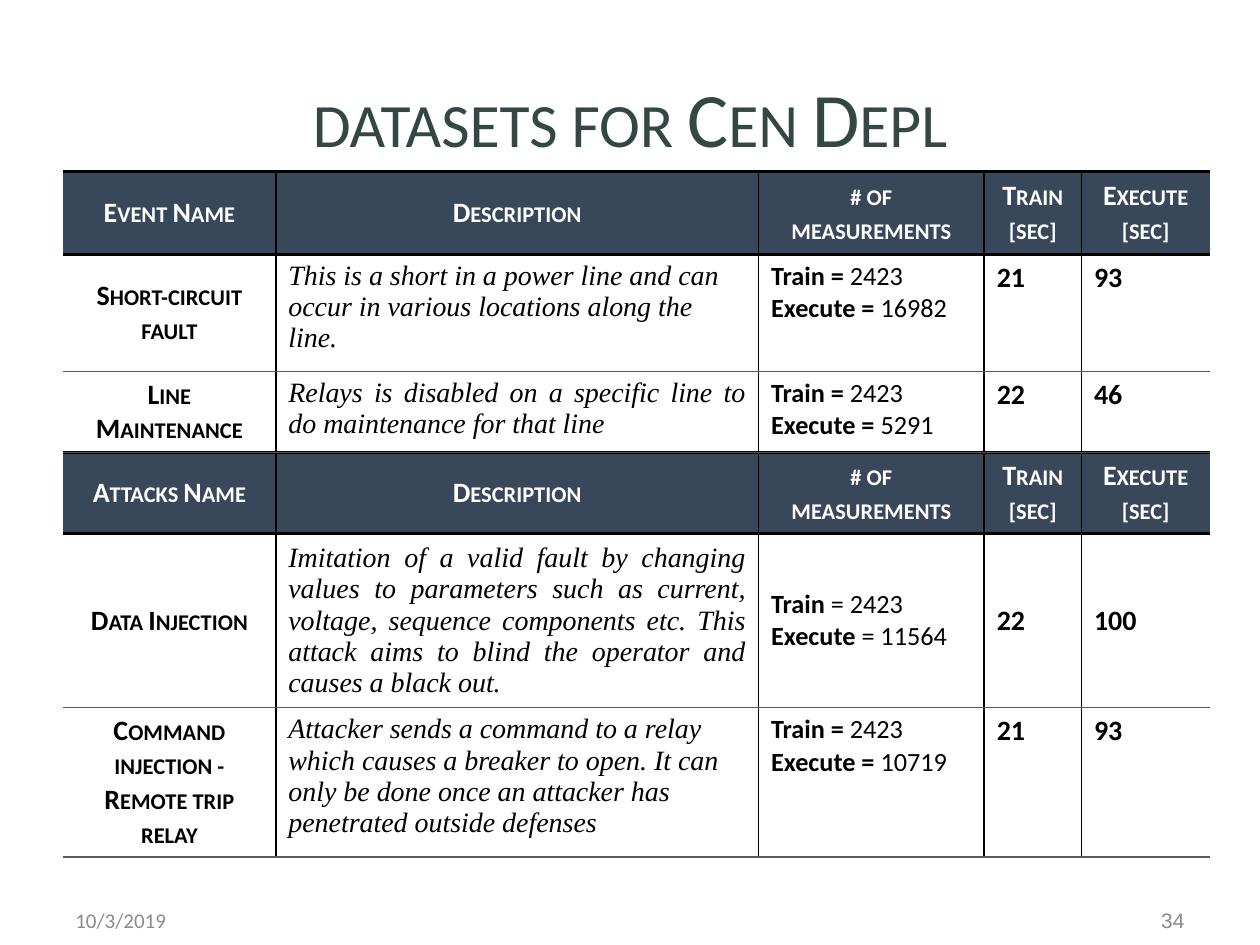
from lxml import etree
from pptx import Presentation
from pptx import util as u
from pptx.dml import color
from pptx.enum import text
from pptx.oxml import ns

COLORS = {"title": "334744", "header": "38485A", "white": "FFFFFF",
          "black": "000000", "row_line": "595959", "footer": "8C8C8C"}
LEFT, CENTER, RIGHT, JUSTIFY = (text.PP_ALIGN.LEFT, text.PP_ALIGN.CENTER,
                                text.PP_ALIGN.RIGHT, text.PP_ALIGN.JUSTIFY)
TOP, MIDDLE = text.MSO_ANCHOR.TOP, text.MSO_ANCHOR.MIDDLE


def write(frame, lines, size, ink="black", font="Calibri", align=LEFT,
          bold=False, italic=False, small_caps=False):
    """Fill a text frame; each line is a (bold label, plain rest) pair or a string."""
    frame.word_wrap = True
    for number, line in enumerate(lines):
        paragraph = frame.add_paragraph() if number else frame.paragraphs[0]
        paragraph.alignment = align
        parts = [(line, bold)] if isinstance(line, str) else zip(line, (True, False))
        for words, strong in parts:
            run = paragraph.add_run()
            run.text = words
            run.font.name, run.font.size = font, u.Pt(size)
            run.font.bold, run.font.italic = strong, italic
            run.font.color.rgb = color.RGBColor.from_string(COLORS[ink])
            if small_caps:
                run.font._element.set("cap", "small")


def set_borders(cell, borders):
    """Draw the (colour, points) borders for L, R, T, B; None leaves a side open."""
    properties = cell._tc.get_or_add_tcPr()
    for place, (side, border) in enumerate(zip("LRTB", borders)):
        line = etree.Element(ns.qn(f"a:ln{side}"))
        if border:
            line.set("w", str(u.Pt(border[1])))
            fill = etree.SubElement(line, ns.qn("a:solidFill"))
            etree.SubElement(fill, ns.qn("a:srgbClr"), val=COLORS[border[0]])
        else:
            etree.SubElement(line, ns.qn("a:noFill"))
        properties.insert(place, line)


prs = Presentation()
prs.slide_width, prs.slide_height = u.Cm(25.4), u.Cm(19.05)
slide = prs.slides.add_slide(prs.slide_layouts[6])

# Each row: name, description, its alignment, "=" bold, execute count,
# train and execute seconds, anchors of description and of figures
attacks = [
    ("Data Injection",
     "Imitation of a valid fault by changing values to parameters such as current, "
     "voltage, sequence components etc. This attack aims to blind the operator and "
     "causes a black out.", JUSTIFY, False, "11564", "22", "100", MIDDLE),
    ("Command injection - Remote trip relay",
     "Attacker sends a command to a relay which causes a breaker to open. It can only "
     "be done once an attacker has penetrated outside defenses",
     LEFT, True, "10719", "21", "93", TOP),
]
events = [
    ("Short-circuit fault",
     "This is a short in a power line and can occur in various locations along the line.",
     LEFT, True, "16982", "21", "93", TOP),
    ("Line Maintenance",
     "Relays is disabled on a specific line to do maintenance for that line",
     JUSTIFY, True, "5291", "22", "46", TOP),
]
column_widths = [4.29, 9.73, 4.55, 1.96, 2.59]
last_column = len(column_widths) - 1
thin, thick, row_line = ("black", 1), ("black", 2), ("row_line", 1)

for first_heading, top, row_heights, records in (
        ("Attacks Name", 9.12, [1.63, 3.51, 3.0], attacks),
        ("Event Name", 3.45, [1.68, 2.36, 1.6], events)):
    table = slide.shapes.add_table(
        len(row_heights), len(column_widths), u.Cm(1.27), u.Cm(top),
        u.Cm(sum(column_widths)), u.Cm(sum(row_heights))).table
    table.first_row = table.horz_banding = False
    for column, width in zip(table.columns, column_widths):
        column.width = u.Cm(width)
    for row, height in zip(table.rows, row_heights):
        row.height = u.Cm(height)

    headings = [first_heading, "Description", "# of measurements",
                "Train [sec]", "Execute [sec]"]
    for cell, heading in zip(table.rows[0].cells, headings):
        cell.fill.solid()
        cell.fill.fore_color.rgb = color.RGBColor.from_string(COLORS["header"])
        cell.vertical_anchor = MIDDLE
        write(cell.text_frame, [heading], 16, "white", align=CENTER,
              bold=True, small_caps=True)

    for row_number, record in enumerate(records, 1):
        name, description, align, bold_sign, count, train, execute, anchor = record
        cells = table.rows[row_number].cells
        for column_number, cell in enumerate(cells):
            cell.fill.background()
            cell.vertical_anchor = anchor if column_number else MIDDLE
        write(cells[0].text_frame, [name], 16, align=CENTER, bold=True, small_caps=True)
        write(cells[1].text_frame, [description], 16, font="Times New Roman",
              align=align, italic=True)
        measurements = [(f"{label} = ", value) if bold_sign else (label, f" = {value}")
                        for label, value in (("Train", "2423"), ("Execute", count))]
        write(cells[2].text_frame, measurements, 15)
        for cell, seconds in zip(cells[3:] if isinstance(cells, list) else
                                 (cells[3], cells[4]), (train, execute)):
            write(cell.text_frame, [seconds], 16, bold=True)

    for row_number, row in enumerate(table.rows):
        above = (thick, thick, row_line)[row_number]
        below = thick if row_number == 0 else row_line
        for column_number, cell in enumerate(row.cells):
            set_borders(cell, (thin if column_number else None,
                               thin if column_number < last_column else None,
                               above, below))

title = slide.shapes.add_textbox(u.Cm(1.27), u.Cm(0.76), u.Cm(22.86), u.Cm(3.18))
title.text_frame.vertical_anchor = MIDDLE
write(title.text_frame, ["datasets for Cen Depl"], 44, "title", align=CENTER,
      small_caps=True)

for left, words, font, align in ((1.27, "10/3/2019", "Calibri", LEFT),
                                 (18.21, "34", "Arial", RIGHT)):
    footer = slide.shapes.add_textbox(u.Cm(left), u.Cm(18.03), u.Cm(5.92), u.Cm(1.02))
    footer.text_frame.vertical_anchor = MIDDLE
    write(footer.text_frame, [words], 12, "footer", font, align)

prs.save("out.pptx")
